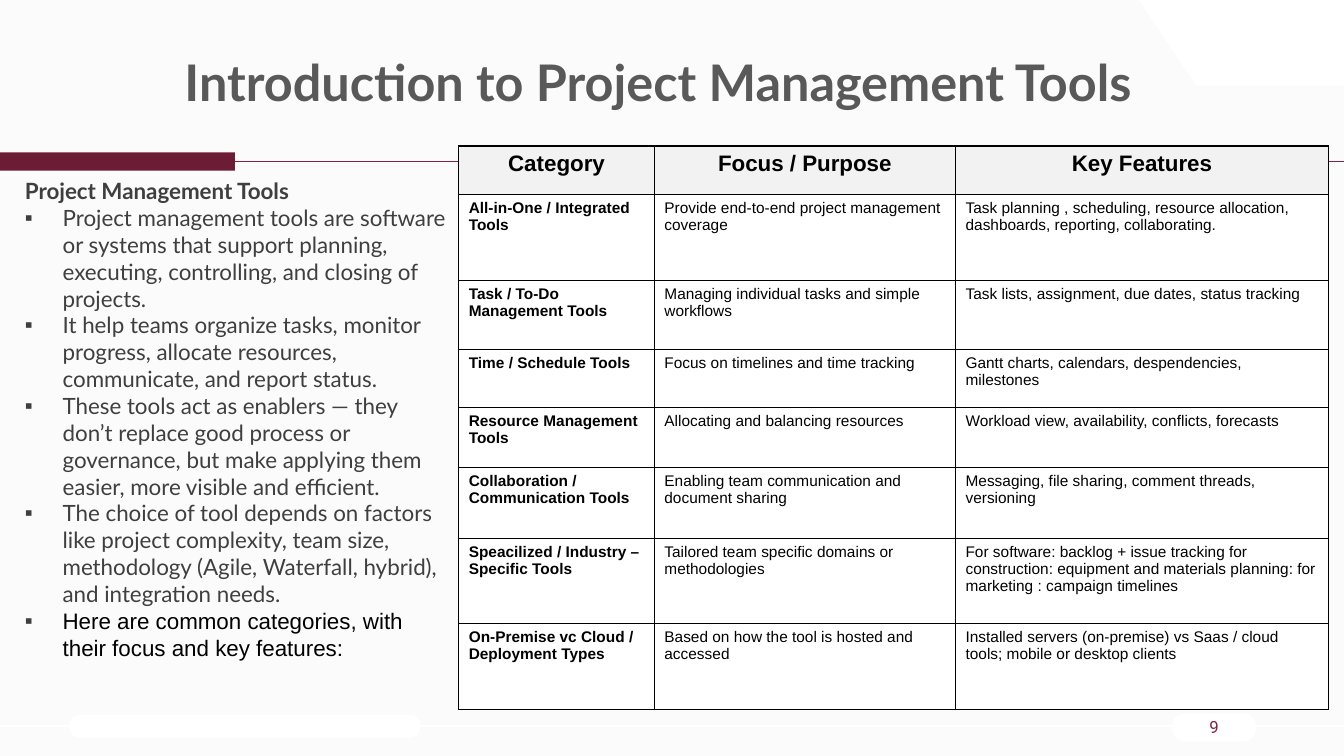
from dataclasses import dataclass

from lxml import etree
from pptx import Presentation
from pptx import util as u
from pptx.dml.color import RGBColor
from pptx.enum import shapes, text
from pptx.oxml import ns


@dataclass(frozen=True)
class Theme:
    background: str = "FBFBFB"
    white: str = "FFFFFF"
    black: str = "000000"
    header: str = "F2F2F2"
    title: str = "595959"
    body: str = "3F3F3F"
    accent: str = "6C1D35"
    rule: str = "83233D"
    number: str = "83233E"
    heading_font: str = "Lato"
    table_font: str = "Arial"
    number_font: str = "Roboto"
    title_size: float = 36
    body_size: float = 16
    number_size: float = 12
    cell_size: float = 11


@dataclass(frozen=True)
class Panel:
    x: float
    y: float
    w: float
    h: float
    fill: str
    rounding: float = 0


@dataclass(frozen=True)
class Rule:
    x: float
    y: float
    color: str
    width: float


@dataclass(frozen=True)
class ToolRow:
    height: float
    category: str
    focus: str
    features: str


T = Theme()
SLIDE_W, SLIDE_H = 33.87, 19.05

PANELS = [
    Panel(1.75, 18.01, 8.84, 0.58, T.white, 0.44),
    Panel(29.54, 17.98, 2.11, 0.71, T.white, 0.44),
    Panel(0, 3.84, 5.92, 0.46, T.accent),
]
RULES = [Rule(0, 18.29, T.white, 1.5), Rule(1.35, 4.06, T.rule, 0.75)]
CORNER = [(28.7, 0), (33.87, 0), (33.87, 2.16), (30.15, 2.16)]

BULLETS = [
    "Project management tools are software or systems that support planning, executing, controlling, and closing of projects.",
    "It help teams organize tasks, monitor progress, allocate resources, communicate, and report status.",
    "These tools act as enablers — they don’t replace good process or governance, but make applying them easier, more visible and efficient.",
    "The choice of tool depends on factors like project complexity, team size, methodology (Agile, Waterfall, hybrid), and integration needs.",
]
CLOSING = "Here are common categories, with their focus and key features:"

COLUMN_WIDTHS = [4.93, 7.59, 9.4]
ROWS = [
    ToolRow(1.22, "Category", "Focus / Purpose", "Key Features"),
    ToolRow(2.16, "All-in-One / Integrated Tools", "Provide end-to-end project management coverage",
            "Task planning , scheduling, resource allocation, dashboards, reporting, collaborating."),
    ToolRow(1.75, "Task / To-Do Management Tools", "Managing individual tasks and simple workflows",
            "Task lists, assignment, due dates, status tracking"),
    ToolRow(1.45, "Time / Schedule Tools", "Focus on timelines and time tracking",
            "Gantt charts, calendars, despendencies, milestones"),
    ToolRow(1.52, "Resource Management Tools", "Allocating and balancing resources",
            "Workload view, availability, conflicts, forecasts"),
    ToolRow(1.78, "Collaboration / Communication Tools", "Enabling team communication and document sharing",
            "Messaging, file sharing, comment threads, versioning"),
    ToolRow(2.16, "Speacilized / Industry – Specific Tools", "Tailored team specific domains or methodologies",
            "For software: backlog + issue tracking for construction: equipment and materials planning: "
            "for marketing : campaign timelines"),
    ToolRow(2.16, "On-Premise vc Cloud / Deployment Types", "Based on how the tool is hosted and accessed",
            "Installed servers (on-premise) vs Saas / cloud tools; mobile or desktop clients"),
]


def rgb(color: str) -> RGBColor:
    return RGBColor.from_string(color)


def write(p, content: str, *, size: float, font: str, color: str, bold: bool = False, align=None) -> None:
    r = p.add_run()
    r.text = content
    r.font.size = u.Pt(size)
    r.font.name = font
    r.font.bold = bold
    r.font.color.rgb = rgb(color)
    if align is not None:
        p.alignment = align


def paint(sp, color: str) -> None:
    sp.shadow.inherit = False
    sp.fill.solid()
    sp.fill.fore_color.rgb = rgb(color)
    sp.line.fill.background()


def draw_panel(s, panel: Panel) -> None:
    kind = shapes.MSO_SHAPE.ROUNDED_RECTANGLE if panel.rounding else shapes.MSO_SHAPE.RECTANGLE
    sp = s.shapes.add_shape(kind, u.Cm(panel.x), u.Cm(panel.y), u.Cm(panel.w), u.Cm(panel.h))
    if panel.rounding:
        sp.adjustments[0] = panel.rounding
    paint(sp, panel.fill)


def draw_rule(s, rule: Rule) -> None:
    cx = s.shapes.add_connector(shapes.MSO_CONNECTOR.STRAIGHT, u.Cm(rule.x), u.Cm(rule.y),
                                u.Cm(SLIDE_W), u.Cm(rule.y))
    cx.line.color.rgb = rgb(rule.color)
    cx.line.width = u.Pt(rule.width)
    etree.SubElement(cx._element.spPr, ns.qn("a:effectLst"))


def draw_corner(s) -> None:
    points = [(u.Cm(x), u.Cm(y)) for x, y in CORNER]
    fb = s.shapes.build_freeform(*points[0], scale=1.0)
    fb.add_line_segments(points[1:], close=True)
    paint(fb.convert_to_shape(), T.white)


def add_box(s, x: float, y: float, w: float, h: float):
    tf = s.shapes.add_textbox(u.Cm(x), u.Cm(y), u.Cm(w), u.Cm(h)).text_frame
    tf.word_wrap = True
    return tf


def add_bullet(p) -> None:
    pPr = p._p.get_or_add_pPr()
    pPr.set("marL", str(u.Cm(0.95)))
    pPr.set("indent", str(-u.Cm(0.95)))
    color = etree.SubElement(pPr, ns.qn("a:buClr"))
    etree.SubElement(color, ns.qn("a:srgbClr"), val=T.body)
    etree.SubElement(pPr, ns.qn("a:buFont"), typeface=T.table_font)
    etree.SubElement(pPr, ns.qn("a:buChar"), char="▪")


def draw_title(s) -> None:
    sp = s.shapes.title
    sp.left, sp.top, sp.width, sp.height = u.Cm(1.98), u.Cm(0.86), u.Cm(29.21), u.Cm(2.57)
    tf = sp.text_frame
    tf.auto_size = text.MSO_AUTO_SIZE.NONE
    tf.vertical_anchor = text.MSO_ANCHOR.MIDDLE
    p = tf.paragraphs[0]
    p.line_spacing = 0.9
    write(p, "Introduction to Project Management Tools", size=T.title_size, font=T.heading_font,
          color=T.title, bold=True, align=text.PP_ALIGN.CENTER)


def draw_body(s) -> None:
    tf = add_box(s, 0.38, 4.34, 11.18, 12.57)
    tf.auto_size = text.MSO_AUTO_SIZE.SHAPE_TO_FIT_TEXT
    write(tf.paragraphs[0], "Project Management Tools", size=T.body_size, font=T.heading_font,
          color=T.body, bold=True)
    items = [(item, T.heading_font, T.body) for item in BULLETS] + [(CLOSING, T.table_font, T.black)]
    for content, font, color in items:
        p = tf.add_paragraph()
        add_bullet(p)
        write(p, content, size=T.body_size, font=font, color=color)


def add_borders(cell) -> None:
    tcPr = cell._tc.get_or_add_tcPr()
    for side in ("lnL", "lnR", "lnT", "lnB"):
        ln = etree.SubElement(tcPr, ns.qn(f"a:{side}"), w=str(u.Pt(1)))
        fill = etree.SubElement(ln, ns.qn("a:solidFill"))
        etree.SubElement(fill, ns.qn("a:srgbClr"), val=T.black)


def draw_table(s) -> None:
    tbl = s.shapes.add_table(len(ROWS), len(COLUMN_WIDTHS), u.Cm(11.56), u.Cm(3.68),
                             u.Cm(sum(COLUMN_WIDTHS)), u.Cm(sum(row.height for row in ROWS))).table
    tbl.first_row = tbl.horz_banding = False
    for column, width in zip(tbl.columns, COLUMN_WIDTHS):
        column.width = u.Cm(width)
    for i, row in enumerate(ROWS):
        tbl.rows[i].height = u.Cm(row.height)
        header = i == 0
        for j, content in enumerate((row.category, row.focus, row.features)):
            cell = tbl.cell(i, j)
            add_borders(cell)
            cell.fill.solid()
            cell.fill.fore_color.rgb = rgb(T.header if header else T.white)
            write(cell.text_frame.paragraphs[0], content, font=T.table_font, color=T.black,
                  size=T.body_size if header else T.cell_size, bold=header or j == 0,
                  align=text.PP_ALIGN.CENTER if header else text.PP_ALIGN.LEFT)


def draw_number(s) -> None:
    tf = add_box(s, 29.54, 17.86, 2.11, 0.89)
    tf.vertical_anchor = text.MSO_ANCHOR.MIDDLE
    write(tf.paragraphs[0], "9", size=T.number_size, font=T.number_font, color=T.number,
          align=text.PP_ALIGN.CENTER)


def main() -> None:
    prs = Presentation()
    prs.slide_width, prs.slide_height = u.Cm(SLIDE_W), u.Cm(SLIDE_H)
    s = prs.slides.add_slide(prs.slide_layouts[5])
    s.background.fill.solid()
    s.background.fill.fore_color.rgb = rgb(T.background)
    for rule in RULES:
        draw_rule(s, rule)
    for panel in PANELS:
        draw_panel(s, panel)
    draw_corner(s)
    draw_title(s)
    draw_number(s)
    draw_body(s)
    draw_table(s)
    prs.save("out.pptx")


if __name__ == "__main__":
    main()
